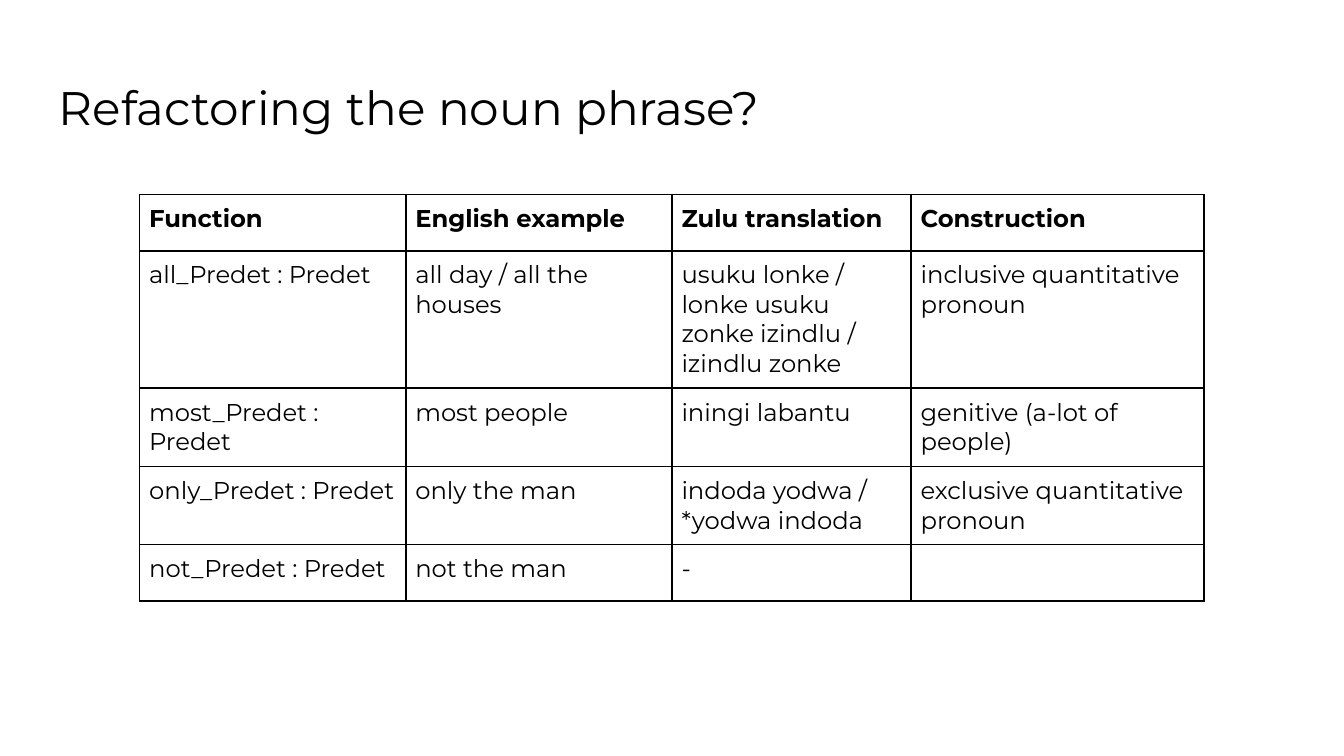
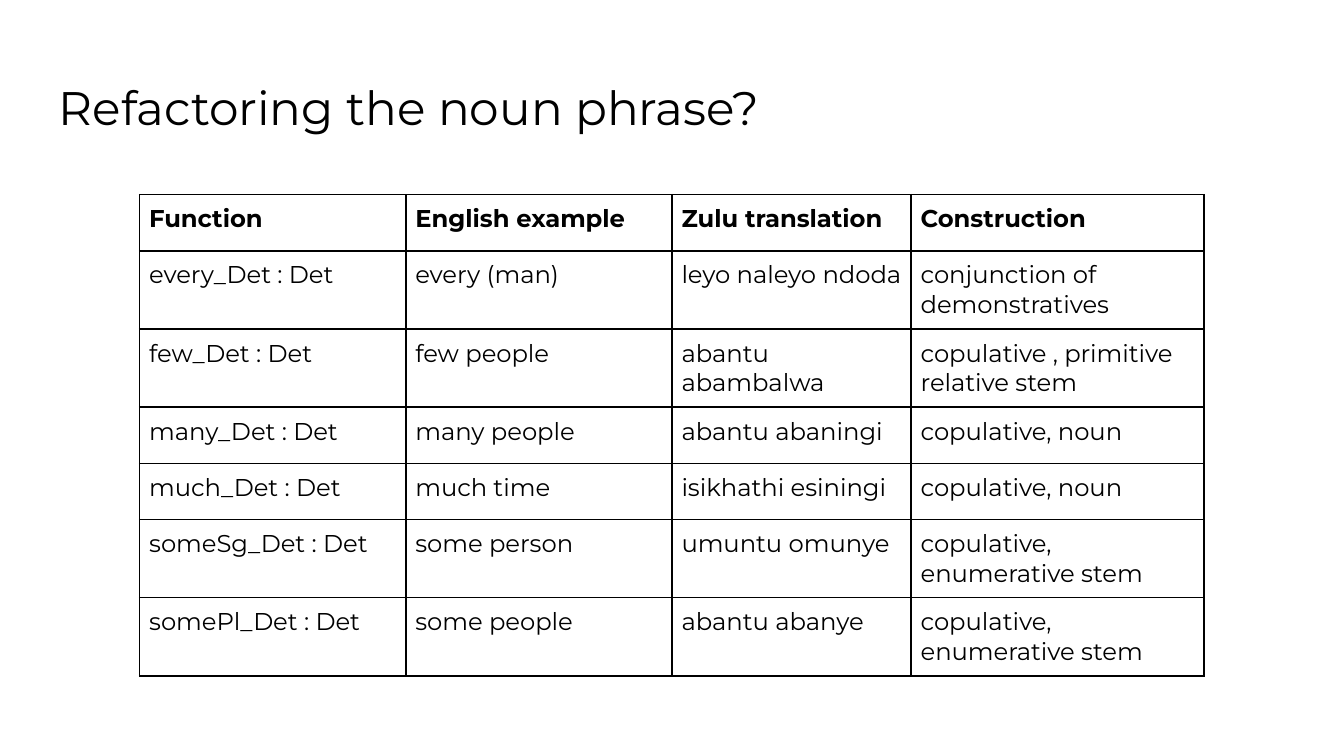
from lxml.etree import SubElement
from pptx import Presentation
from pptx.dml.color import RGBColor
from pptx.enum.text import MSO_ANCHOR, MSO_AUTO_SIZE, PP_ALIGN
from pptx.oxml.ns import qn
from pptx.util import Cm, Pt

BLACK = RGBColor(0, 0, 0)
FACE = "Montserrat"
TITLE = "Refactoring the noun phrase?"
HEADS = ["Function", "English example", "Zulu translation", "Construction"]
WIDTHS = [5.03, 5.03, 4.52, 5.54]
ROW = 1.06
PAD = 0.18

PREDETS = [
    ["all_Predet : Predet", "all day / all the houses",
     "usuku lonke / lonke usuku\nzonke izindlu / izindlu zonke",
     "inclusive quantitative pronoun"],
    ["most_Predet : Predet", "most people", "iningi labantu",
     "genitive (a-lot of people)"],
    ["only_Predet : Predet", "only the man", "indoda yodwa / *yodwa indoda",
     "exclusive quantitative pronoun"],
    ["not_Predet : Predet", "not the man", "-", ""],
]
DETS = [
    ["every_Det : Det", "every (man)", "leyo naleyo ndoda",
     "conjunction of demonstratives"],
    ["few_Det : Det", "few people", "abantu abambalwa",
     "copulative , primitive relative stem"],
    ["many_Det : Det", "many people", "abantu abaningi", "copulative, noun"],
    ["much_Det : Det", "much time", "isikhathi esiningi", "copulative, noun"],
    ["someSg_Det : Det", "some person", "umuntu omunye",
     "copulative, enumerative stem"],
    ["somePl_Det : Det", "some people", "abantu abanye",
     "copulative, enumerative stem"],
]


def style(frame, size, bold=False):
    for para in frame.paragraphs:
        para.alignment = PP_ALIGN.LEFT
        font = para.font
        font.name, font.size, font.bold = FACE, Pt(size), bold
        font.color.rgb = BLACK


def add_title(slide, text):
    title = slide.shapes.title
    title.left, title.top = Cm(0.86), Cm(1.24)
    title.width, title.height = Cm(23.67), Cm(1.6)
    frame = title.text_frame
    frame.text = text
    frame.auto_size = MSO_AUTO_SIZE.NONE
    frame.vertical_anchor = MSO_ANCHOR.TOP
    frame.margin_left = frame.margin_right = Cm(0.25)
    frame.margin_top = frame.margin_bottom = Cm(0.25)
    style(frame, 25.2)


def add_edges(cell):
    """Draw a thin black line on all four sides of the cell."""
    props = cell._tc.get_or_add_tcPr()
    for side in ("lnL", "lnR", "lnT", "lnB"):
        line = SubElement(props, qn(f"a:{side}"), w=str(Pt(1)))
        fill = SubElement(line, qn("a:solidFill"))
        SubElement(fill, qn("a:srgbClr"), val=str(BLACK))


def fill_cell(cell, text, bold):
    cell.text = text
    cell.margin_left = cell.margin_right = Cm(PAD)
    cell.margin_top = cell.margin_bottom = Cm(PAD)
    cell.vertical_anchor = MSO_ANCHOR.TOP
    style(cell.text_frame, 13, bold)
    add_edges(cell)
    cell.fill.background()


def add_grid(slide, rows):
    rows = [HEADS] + rows
    frame = slide.shapes.add_table(
        len(rows), len(HEADS), Cm(2.64), Cm(3.68),
        Cm(sum(WIDTHS)), Cm(ROW * len(rows)))
    table = frame.table
    table.first_row = table.horz_banding = False
    for col, width in zip(table.columns, WIDTHS):
        col.width = Cm(width)
    for r, row in enumerate(rows):
        table.rows[r].height = Cm(ROW)
        for c, text in enumerate(row):
            fill_cell(table.cell(r, c), text, bold=r == 0)


def main():
    deck = Presentation()
    deck.slide_width, deck.slide_height = Cm(25.4), Cm(14.29)
    for rows in (PREDETS, DETS):
        slide = deck.slides.add_slide(deck.slide_layouts[5])
        add_title(slide, TITLE)
        add_grid(slide, rows)
    deck.save("out.pptx")


if __name__ == "__main__":
    main()
